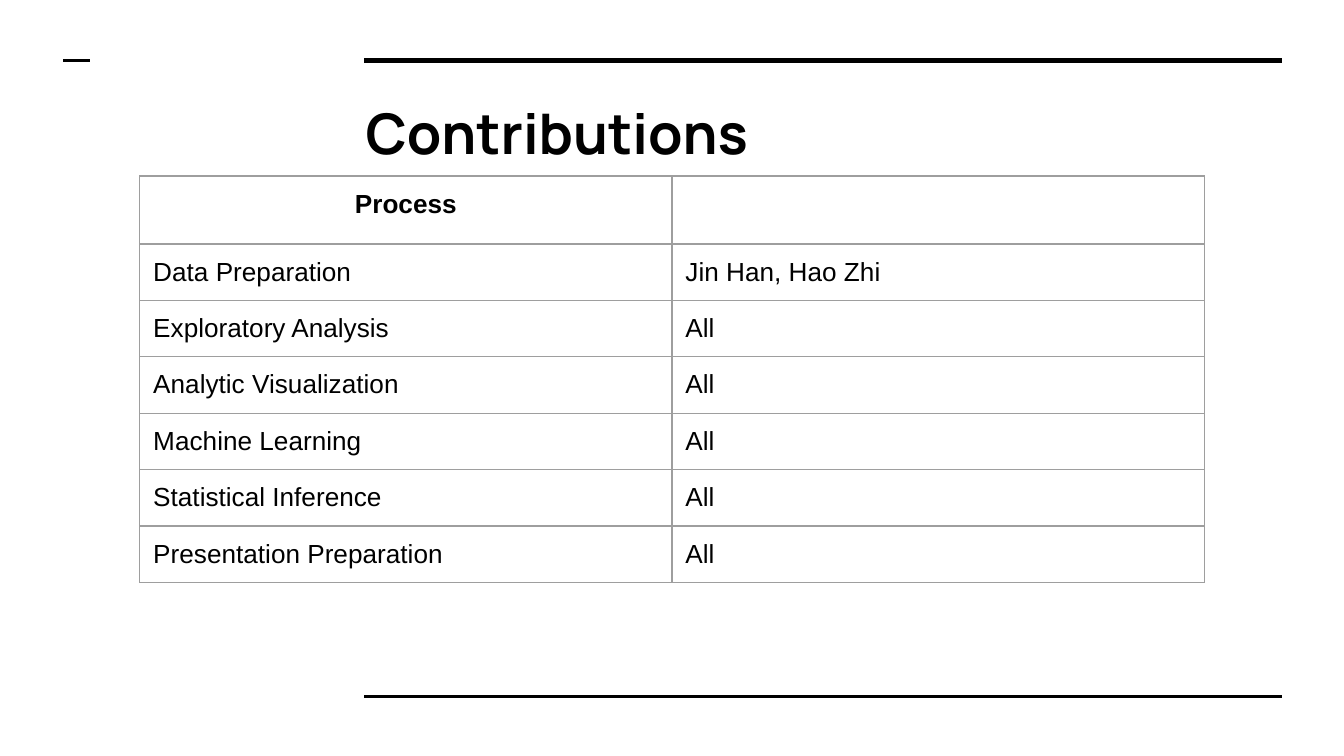
from lxml import etree
from pptx import Presentation
from pptx import util as u
from pptx.dml.color import RGBColor
from pptx.enum import shapes, text
from pptx.oxml import ns

COLORS = {"ink": "000000", "border": "9E9E9E"}
INK = RGBColor.from_string(COLORS["ink"])

presentation = Presentation()
presentation.slide_width = u.Inches(10)
presentation.slide_height = u.Inches(10 * 9 / 16)
slide = presentation.slides.add_slide(presentation.slide_layouts[5])


def style_font(paragraph, name, size, bold):
    paragraph.font.name = name
    paragraph.font.size = u.Pt(size)
    paragraph.font.bold = bold
    paragraph.font.color.rgb = INK


def add_border(cell, side):
    line = etree.SubElement(cell._tc.get_or_add_tcPr(), ns.qn(f"a:{side}"), w=str(u.Pt(0.75)))
    fill = etree.SubElement(line, ns.qn("a:solidFill"))
    etree.SubElement(fill, ns.qn("a:srgbClr"), val=COLORS["border"])


rules = [(2.71, 9.54, 0.45, 3), (2.71, 9.54, 5.18, 1.5), (0.47, 0.67, 0.45, 1.5)]
for left, right, y, width in rules:
    rule = slide.shapes.add_connector(
        shapes.MSO_CONNECTOR.STRAIGHT, u.Inches(left), u.Inches(y), u.Inches(right), u.Inches(y)
    )
    rule.line.color.rgb = INK
    rule.line.width = u.Pt(width)
    etree.SubElement(rule._element.spPr, ns.qn("a:effectLst"))

title = slide.shapes.title
title.left, title.top = u.Inches(2.62), u.Inches(0.63)
title.width, title.height = u.Inches(6.91), u.Inches(0.69)
frame = title.text_frame
frame.text = "Contributions"
frame.word_wrap = True
frame.auto_size = text.MSO_AUTO_SIZE.NONE
frame.vertical_anchor = text.MSO_ANCHOR.TOP
frame.margin_left = frame.margin_right = u.Inches(0.1)
frame.margin_top = frame.margin_bottom = u.Inches(0.1)
frame.paragraphs[0].alignment = text.PP_ALIGN.LEFT
style_font(frame.paragraphs[0], "Manrope", 30, True)

rows = [
    ("Process", ""),
    ("Data Preparation", "Jin Han, Hao Zhi"),
    ("Exploratory Analysis", "All"),
    ("Analytic Visualization", "All"),
    ("Machine Learning", "All"),
    ("Statistical Inference", "All"),
    ("Presentation Preparation", "All"),
]
row_height, column_width = 0.42, 3.96
table = slide.shapes.add_table(
    len(rows), 2, u.Inches(1.04), u.Inches(1.31),
    u.Inches(2 * column_width), u.Inches(row_height * len(rows)),
).table
table.first_row = table.horz_banding = False
for column in table.columns:
    column.width = u.Inches(column_width)

for row_index, values in enumerate(rows):
    is_header = row_index == 0
    table.rows[row_index].height = u.Inches(row_height)
    for column_index, value in enumerate(values):
        cell = table.cell(row_index, column_index)
        cell.margin_left = cell.margin_right = u.Inches(0.1)
        cell.margin_top = cell.margin_bottom = u.Inches(0.1)
        for side in ("lnL", "lnR", "lnT", "lnB"):
            add_border(cell, side)
        cell.fill.background()
        if value:
            cell.text = value
            paragraph = cell.text_frame.paragraphs[0]
            paragraph.alignment = text.PP_ALIGN.CENTER if is_header else text.PP_ALIGN.LEFT
            style_font(paragraph, "Arial", 14, is_header)

presentation.save("out.pptx")
